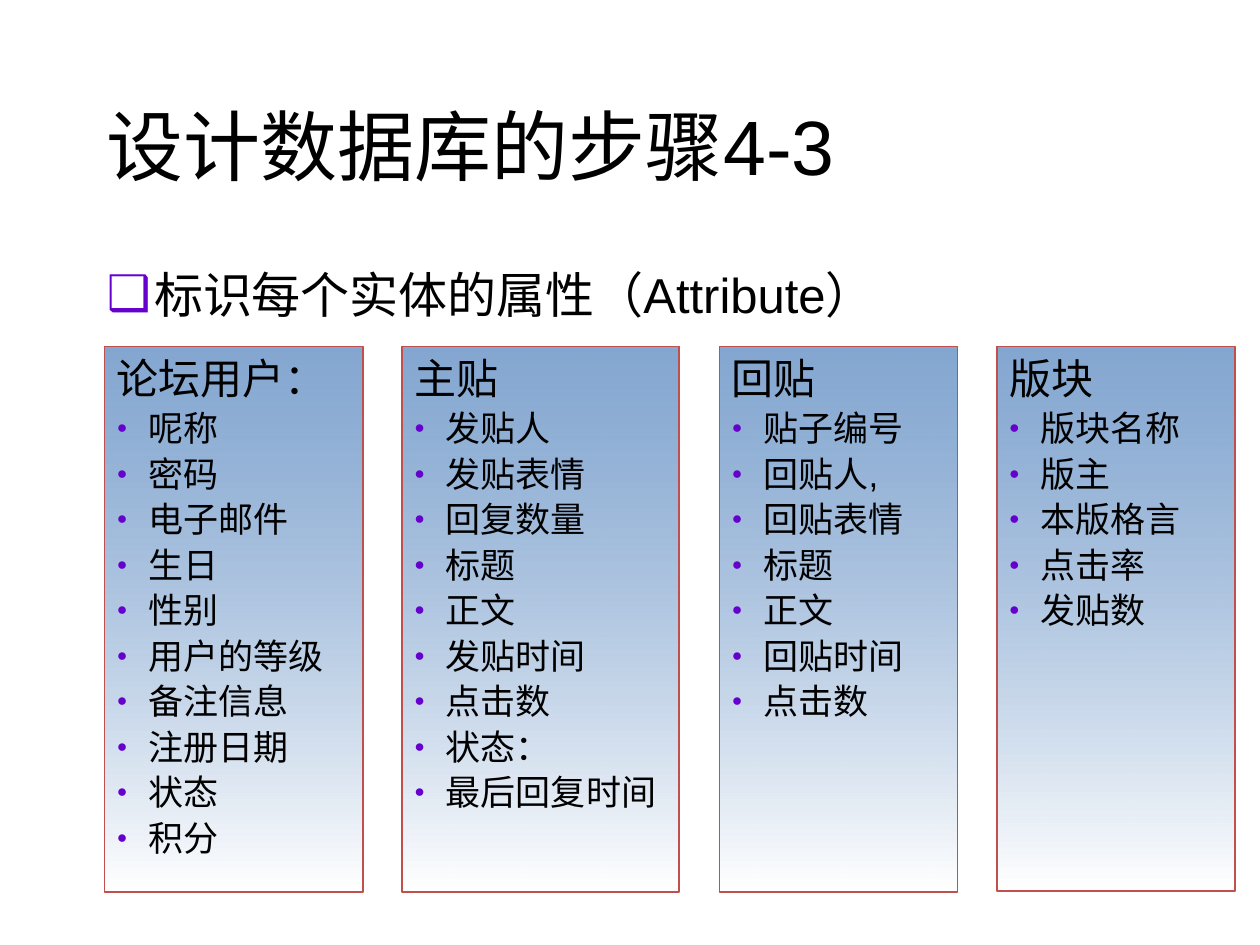
from dataclasses import dataclass

from lxml.etree import SubElement
from pptx import Presentation
from pptx.dml.color import RGBColor as RGB
from pptx.enum.shapes import MSO_SHAPE as SHAPE
from pptx.enum.text import MSO_ANCHOR as ANCHOR, PP_ALIGN as ALIGN
from pptx.oxml.ns import qn
from pptx.util import Pt


@dataclass(frozen=True)
class Theme:
    """Colours, font and type sizes of the slide."""
    font: str = "Arial"
    ink: RGB = RGB(0x00, 0x00, 0x00)
    bullet: str = "6600CC"
    top: RGB = RGB(0x4F, 0x81, 0xBD)
    bottom: RGB = RGB(0xFF, 0xFF, 0xFF)
    top_alpha: int = 70
    edge: RGB = RGB(0xC0, 0x50, 0x4D)
    title: int = 44
    lead: int = 28
    heading: int = 24
    item: int = 20


THEME = Theme()
ENTITIES = [
    (59.76, 147.6, 311.76, "论坛用户：",
     ["呢称", "密码", "电子邮件", "生日", "性别", "用户的等级", "备注信息", "注册日期", "状态", "积分"]),
    (229.68, 158.4, 311.76, "主贴",
     ["发贴人", "发贴表情", "回复数量", "标题", "正文", "发贴时间", "点击数", "状态：", "最后回复时间"]),
    (411.12, 136.08, 311.76, "回贴",
     ["贴子编号", "回贴人,", "回贴表情", "标题", "正文", "回贴时间", "点击数"]),
    (569.52, 136.08, 311.04, "版块",
     ["版块名称", "版主", "本版格言", "点击率", "发贴数"]),
]


def write(p, text, size):
    """Set the text and type of a paragraph."""
    p.text = text
    p.alignment = ALIGN.LEFT
    p.font.name = THEME.font
    p.font.size = Pt(size)
    p.font.color.rgb = THEME.ink


def hang(p, indent):
    """Give a paragraph a hanging indent."""
    pPr = p._p.get_or_add_pPr()
    pPr.set("marL", str(Pt(indent)))
    pPr.set("indent", str(-Pt(indent)))
    return pPr


def bullet(p, char, indent, before, scale=100):
    """Add a coloured bullet and space before, both in percent."""
    pPr = hang(p, indent)
    parts = [
        ("a:spcBef", "a:spcPct", before * 1000),
        ("a:buClr", "a:srgbClr", THEME.bullet),
    ]
    for n, (outer, inner, val) in enumerate(parts):
        el = pPr.makeelement(qn(outer), {})
        SubElement(el, qn(inner), val=str(val))
        pPr.insert(n, el)
    tags = [
        ("a:buSzPct", {"val": str(scale * 1000)}),
        ("a:buFont", {"typeface": THEME.font}),
        ("a:buChar", {"char": char}),
    ]
    for n, (tag, attrs) in enumerate(tags, len(parts)):
        pPr.insert(n, pPr.makeelement(qn(tag), attrs))


def add_text(slide, x, y, w, h, text, size, anchor=ANCHOR.TOP):
    """Place a line of wrapped text and return its paragraph."""
    tf = slide.shapes.add_textbox(Pt(x), Pt(y), Pt(w), Pt(h)).text_frame
    tf.word_wrap = True
    tf.vertical_anchor = anchor
    p = tf.paragraphs[0]
    write(p, text, size)
    return p


def add_entity(slide, x, y, w, h, heading, items):
    """Place a gradient panel listing the attributes of an entity."""
    sp = slide.shapes.add_shape(SHAPE.RECTANGLE, Pt(x), Pt(y), Pt(w), Pt(h))
    sp.shadow.inherit = False
    sp.line.color.rgb = THEME.edge
    sp.line.width = Pt(1)
    sp.fill.gradient()
    sp.fill.gradient_angle = 270
    for stop, color in zip(sp.fill.gradient_stops, (THEME.top, THEME.bottom)):
        stop.color.rgb = color
    top = next(sp._element.iter(qn("a:srgbClr")))
    SubElement(top, qn("a:alpha"), val=str(THEME.top_alpha * 1000))
    tf = sp.text_frame
    tf.word_wrap = True
    tf.vertical_anchor = ANCHOR.TOP
    p = tf.paragraphs[0]
    write(p, heading, THEME.heading)
    hang(p, 18)
    for item in items:
        p = tf.add_paragraph()
        write(p, item, THEME.item)
        bullet(p, "●", 18, 10, 50)


def main():
    """Build and save the slide."""
    prs = Presentation()
    prs.slide_width, prs.slide_height = Pt(720), Pt(540)
    slide = prs.slides.add_slide(prs.slide_layouts[6])
    add_text(slide, 54, 25.92, 606.24, 113.04, "设计数据库的步骤4-3", THEME.title, ANCHOR.MIDDLE)
    for x, w, h, heading, items in ENTITIES:
        add_entity(slide, x, 198, w, h, heading, items)
    lead = add_text(slide, 54, 147.6, 648, 61.92, "标识每个实体的属性（Attribute）", THEME.lead)
    bullet(lead, "❑", 27, 20)
    prs.save("out.pptx")


if __name__ == "__main__":
    main()
